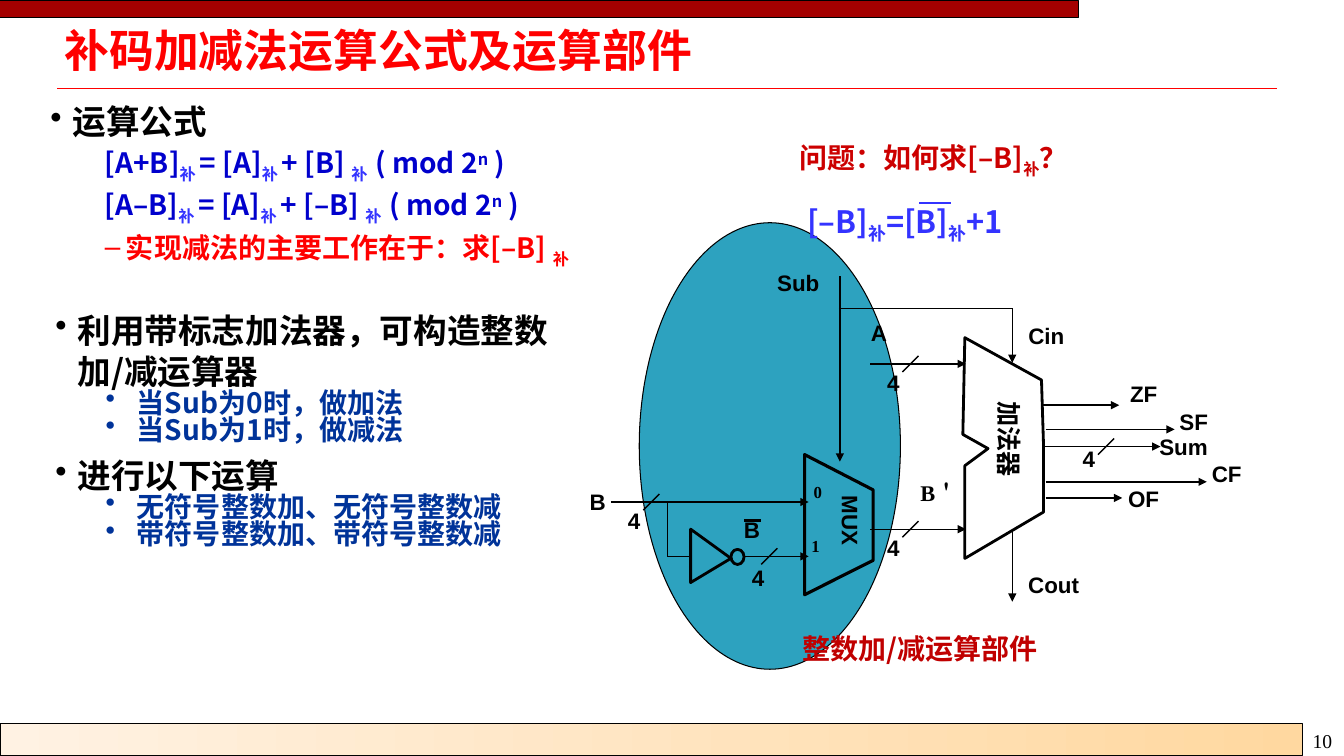
from lxml.etree import SubElement
from pptx import Presentation
from pptx.dml.color import RGBColor
from pptx.enum.shapes import MSO_CONNECTOR as Connector, MSO_SHAPE as Shape
from pptx.enum.text import MSO_ANCHOR as Anchor
from pptx.oxml.ns import qn
from pptx.util import Inches, Pt

COLORS = {
    "black": "000000", "red": "FF0000", "bar": "A40000", "question": "CC0000",
    "caption": "C00000", "formula": "0000CC", "subscript": "3333FF",
    "detail": "003399", "oval": "2DA2BF", "cream": "FFF2E3", "sand": "FFD8A0",
}
CJK, SANS, SERIF = "Noto Sans CJK SC", "Arial", "Times New Roman"
SUB, SUPER = -25000, 30000
INSETS = (0.1, 0.05)
TIGHT = (0.07, 0.03)


def color(name):
    return RGBColor.from_string(COLORS[name])


def add_run(paragraph, text, size, color_name, font=CJK, bold=True, baseline=0):
    run = paragraph.add_run()
    run.text = text
    for name, value in {"size": Pt(size), "bold": bold, "name": font}.items():
        setattr(run.font, name, value)
    run.font.color.rgb = color(color_name)
    properties = run._r.get_or_add_rPr()
    SubElement(properties, qn("a:ea")).set("typeface", CJK if font == SANS else font)
    if baseline:
        properties.set("baseline", str(baseline))


def add_text_box(slide, box, insets=INSETS, anchor=Anchor.TOP, wrap=True):
    shape = slide.shapes.add_textbox(*map(Inches, box))
    horizontal, vertical = map(Inches, insets)
    settings = {
        "margin_left": horizontal, "margin_right": horizontal,
        "margin_top": vertical, "margin_bottom": vertical,
        "vertical_anchor": anchor, "word_wrap": wrap,
    }
    for name, value in settings.items():
        setattr(shape.text_frame, name, value)
    return shape


def add_label(slide, box, text, size=16, font=SANS, color_name="black",
              bold=True, rotation=0, wrap=False):
    shape = add_text_box(slide, box, wrap=wrap)
    shape.rotation = rotation
    add_run(shape.text_frame.paragraphs[0], text, size, color_name, font, bold)


def add_line(slide, start, end, width=1, color_name="black", arrow=False):
    line = slide.shapes.add_connector(Connector.STRAIGHT, *map(Inches, (*start, *end)))
    line.line.color.rgb = color(color_name)
    line.line.width = Pt(width)
    if arrow:
        SubElement(line.line._get_or_add_ln(), qn("a:tailEnd")).set("type", "triangle")
    SubElement(line._element.spPr, qn("a:effectLst"))


def style_shape(shape, fill=None, width=0.75):
    shape.shadow.inherit = False
    if fill:
        shape.fill.solid()
        shape.fill.fore_color.rgb = color(fill)
    else:
        shape.fill.background()
    shape.line.color.rgb = color("black")
    shape.line.width = Pt(width)


def add_shape(slide, kind, box, fill=None, width=0.75):
    shape = slide.shapes.add_shape(kind, *map(Inches, box))
    style_shape(shape, fill, width)
    return shape


def add_outline(slide, points, width=2):
    first, *rest = [tuple(map(Inches, point)) for point in points]
    builder = slide.shapes.build_freeform(*first, scale=1.0)
    builder.add_line_segments(rest, close=True)
    style_shape(builder.convert_to_shape(), width=width)


def add_list_item(frame, runs, indent, spacing, before=0, bullet=None):
    """Add a paragraph of (text, size, color, baseline) runs with a hanging indent."""
    paragraph = frame.paragraphs[0]
    if paragraph.runs:
        paragraph = frame.add_paragraph()
    paragraph.line_spacing = spacing
    paragraph.space_before = Pt(before)
    left, hanging = indent
    properties = paragraph._p.get_or_add_pPr()
    properties.set("marL", str(Inches(left)))
    properties.set("indent", str(Inches(-hanging)))
    if bullet:
        SubElement(properties, qn("a:buChar")).set("char", bullet)
    else:
        SubElement(properties, qn("a:buNone"))
    for text, size, color_name, baseline in runs:
        add_run(paragraph, text, size, color_name, baseline=baseline)


def draw_frame(slide, box):
    """Draw the bars, the page number and the title with its rule."""
    left, top, width, height = box
    bottom = top + height - 0.32
    footer = add_shape(slide, Shape.RECTANGLE, (left, bottom, width - 0.41, 0.32))
    footer.fill.gradient()
    footer.fill.gradient_angle = 0
    for stop, name in zip(footer.fill.gradient_stops, ("cream", "sand")):
        stop.color.rgb = color(name)
    add_label(slide, (left + width - 0.41, bottom, 0.43, 0.34), "10", 14, SERIF, bold=False)
    add_shape(slide, Shape.RECTANGLE, (left, top + 0.01, 10.7, 0.16), "bar")
    add_line(slide, (left + 0.57, top + 0.88), (left + 12.67, top + 0.88), 1, "red")
    title = add_text_box(slide, (left + 0.57, top + 0.27, 11.87, 0.52), TIGHT, Anchor.MIDDLE)
    paragraph = title.text_frame.paragraphs[0]
    paragraph.line_spacing = 0.87
    add_run(paragraph, "补码加减法运算公式及运算部件", 32, "red")


def draw_formulas(slide, box):
    frame = add_text_box(slide, box, TIGHT).text_frame
    add_list_item(frame, [("运算公式", 24, "black", 0)], (0.22, 0.22), 1.03, bullet="•")
    for result, operand in (("[A+B]", "+ [B] "), ("[A–B]", "+ [–B] ")):
        parts = [
            (result, 0), ("补 ", SUB), ("= [A]", 0), ("补 ", SUB), (operand, 0),
            ("补  ", SUB), ("( mod 2", 0), ("n", SUPER), (" )", 0),
        ]
        runs = [(text, 20, "subscript" if base == SUB else "formula", base)
                for text, base in parts]
        add_list_item(frame, runs, (0.75, 0.21), 1.0, 3)
    goal = [("实现减法的主要工作在于：求[–B] ", 20, "red", 0), ("补", 20, "red", SUB)]
    add_list_item(frame, goal, (0.75, 0.21), 1.0, 3, "–")


def draw_operations(slide, box):
    frame = add_text_box(slide, box).text_frame
    sections = {
        "利用带标志加法器，可构造整数加/减运算器":
            ("当Sub为0时，做加法", "当Sub为1时，做减法"),
        "进行以下运算": ("无符号整数加、无符号整数减", "带符号整数加、带符号整数减"),
    }
    for number, (heading, details) in enumerate(sections.items()):
        add_list_item(frame, [(heading, 24, "black", 0)], (0.22, 0.22), 1.03, 6 * number, "•")
        for detail in details:
            add_list_item(frame, [(detail, 20, "detail", 0)], (0.81, 0.31), 0.81, bullet="•")


def draw_question(slide, box):
    left, top, width, height = box
    lines = [
        ((left, top, width, 0.43), 20, "question",
         (("问题：如何求[–B]", 0), ("补", SUB), ("？", 0))),
        ((left + 0.08, top + 0.61, 2.6, height - 0.61), 22, "subscript",
         (("[–B]", 0), ("补", SUB), ("=[B]", 0), ("补", SUB), ("+1", 0))),
    ]
    for line_box, size, color_name, parts in lines:
        frame = add_text_box(slide, line_box, anchor=Anchor.MIDDLE).text_frame
        for text, baseline in parts:
            add_run(frame.paragraphs[0], text, size, color_name, baseline=baseline)
    add_line(slide, (left + 1.29, top + 0.64), (left + 1.6, top + 0.64), 1.5, "subscript")


def draw_circuit(slide, box):
    """Draw the adder, multiplexer, inverter and their wires."""
    left, top, width, height = box

    def at(x, y):
        return left + x, top + y

    add_shape(slide, Shape.OVAL, (*at(0.59, 0), 2.59, height), "oval")

    adder = [(3.82, 1.14), (4.58, 1.56), (4.6, 2.2), (4.6, 2.87), (3.82, 3.33),
             (3.82, 2.41), (4.05, 2.24), (3.8, 2.1)]
    multiplexer = [(2.23, 2.3), (2.91, 2.65), (2.91, 3.35), (2.23, 3.69)]
    inverter = [(1.1, 3.04), (1.5, 3.33), (1.1, 3.57)]
    for points, line_width in ((adder, 2), (multiplexer, 2.25), (inverter, 2)):
        add_outline(slide, [at(*point) for point in points], line_width)
    add_shape(slide, Shape.OVAL, (*at(1.5, 3.24), 0.13, 0.15), width=2)

    arrows = [
        (2.88, 1.4, 3.83, 1.4), (2.88, 3.04, 3.83, 3.04), (0.31, 2.77, 2.27, 2.77),
        (1.64, 3.31, 2.27, 3.31), (2.58, 0.53, 2.58, 2.37), (4.29, 0.85, 4.29, 1.39),
        (4.29, 3.05, 4.29, 3.76), (4.59, 1.81, 5.35, 1.81), (4.62, 2.05, 5.9, 2.05),
        (4.6, 2.22, 5.76, 2.22), (4.62, 2.57, 6.22, 2.57), (4.62, 2.73, 5.38, 2.73),
    ]
    wires = [(2.57, 0.85, 4.29, 0.85), (0.87, 2.77, 0.87, 3.31), (0.87, 3.31, 1.09, 3.31)]
    for x, y in ((3.28, 1.4), (3.28, 3.04), (5.22, 2.22), (0.71, 2.77), (1.88, 3.31)):
        wires.append((x + 0.08, y - 0.08, x - 0.08, y + 0.08))
    for lines, arrow in ((arrows, True), (wires, False)):
        for x1, y1, x2, y2 in lines:
            add_line(slide, at(x1, y1), at(x2, y2), arrow=arrow)
    add_line(slide, at(1.63, 2.95), at(1.8, 2.95), 2.25)

    labels = [
        ("Sub", 1.86, 0.41, 0.67), ("A", 2.79, 0.91, 0.39), ("B", 0, 2.58, 0.39),
        ("B", 1.53, 2.86, 0.39), ("Cin", 4.35, 0.94, 0.61), ("Cout", 4.35, 3.41, 0.77),
        ("ZF", 5.36, 1.51, 0.51), ("SF", 5.85, 1.79, 0.64), ("Sum", 5.65, 2.04, 0.74),
        ("CF", 6.17, 2.31, 0.65), ("OF", 5.34, 2.55, 0.56), ("4", 2.95, 1.4, 0.35),
        ("4", 2.95, 3.04, 0.35), ("4", 4.89, 2.16, 0.35), ("4", 0.38, 2.77, 0.35),
        ("4", 1.61, 3.34, 0.35),
    ]
    for text, x, y, label_width in labels:
        add_label(slide, (*at(x, y), label_width, 0.47), text)
    for text, x, y in (("0", 2.22, 2.52), ("1", 2.2, 3.06)):
        add_label(slide, (*at(x, y), 0.31, 0.38), text, 12, SERIF)
    add_label(slide, (*at(3.28, 2.49), 0.73, 0.47), "B＇", font=SERIF)
    add_label(slide, (*at(3.57, 2.14), 1.36, 0.43), "加法器", 18, rotation=90, wrap=True)
    add_label(slide, (*at(2.15, 2.93), 1.04, 0.4), "MUX", rotation=90, wrap=True)
    add_label(slide, (*at(2.11, 4.01), 2.83, 0.55), "整数加/减运算部件", 20, CJK,
              "caption", wrap=True)


def main():
    presentation = Presentation()
    presentation.slide_width = Inches(13.33)
    presentation.slide_height = Inches(7.5)
    slide = presentation.slides.add_slide(presentation.slide_layouts[6])
    draw_frame(slide, (0, 0, 13.33, 7.5))
    draw_circuit(slide, (5.75, 2.21, 6.82, 4.43))
    draw_operations(slide, (0.45, 3.01, 5.43, 3.3))
    draw_formulas(slide, (0.43, 0.96, 6.47, 1.88))
    draw_question(slide, (7.83, 1.37, 3.14, 1.08))
    presentation.save("out.pptx")


if __name__ == "__main__":
    main()
